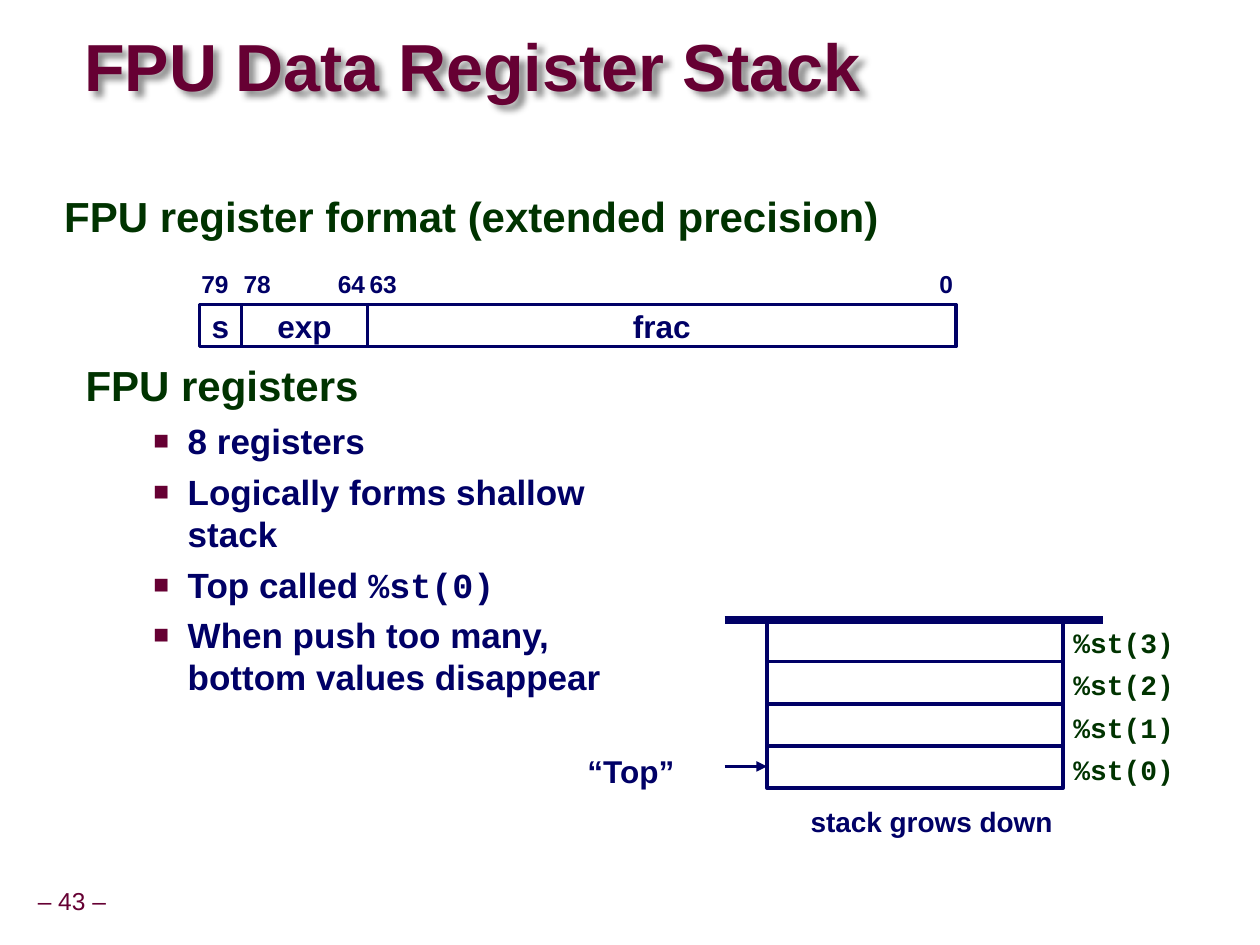
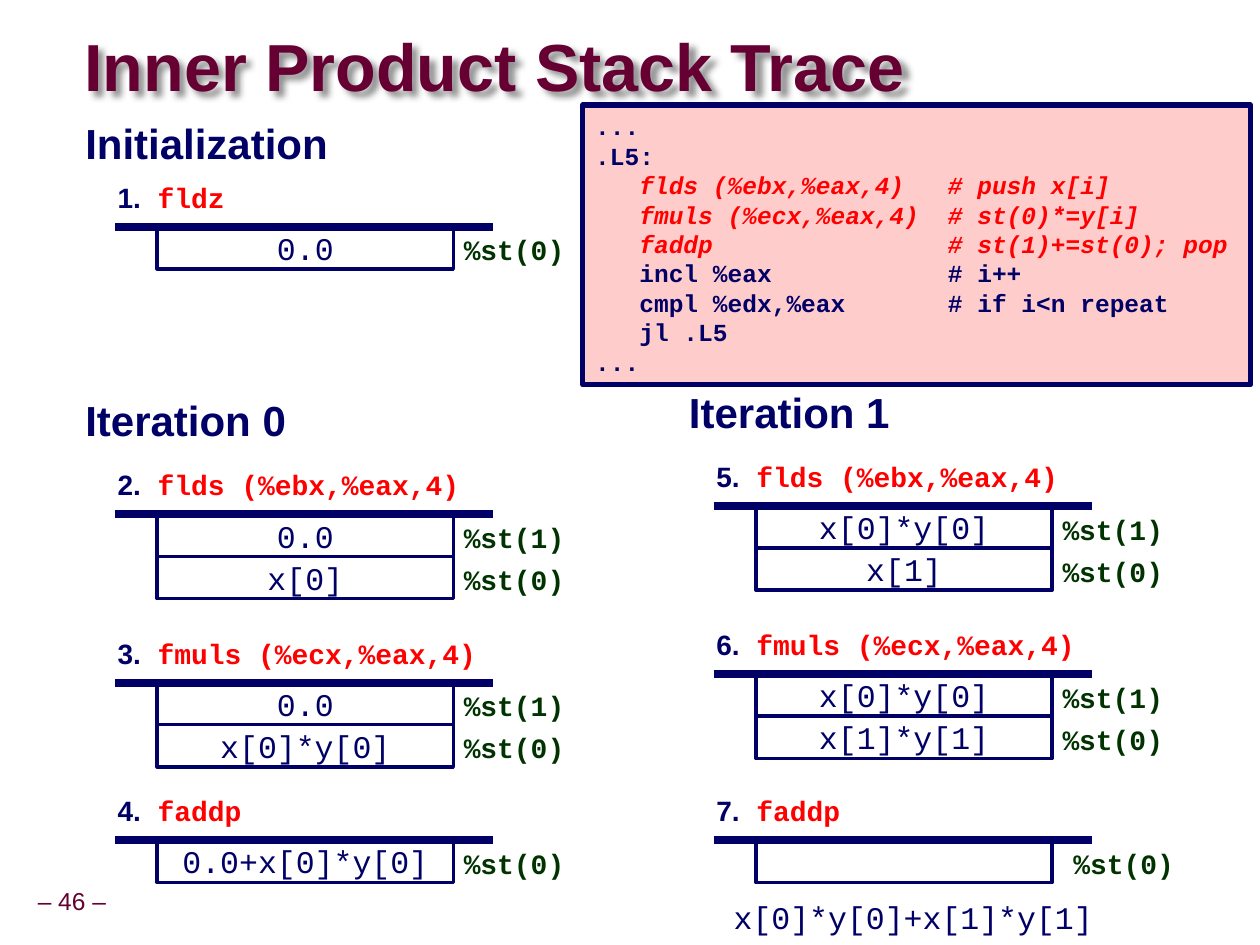
from dataclasses import dataclass, replace

import pptx
import pptx.dml.color
import pptx.enum.shapes
import pptx.enum.text
import pptx.oxml.ns
import pptx.util
from lxml import etree

Cm = pptx.util.Cm
Pt = pptx.util.Pt
ALIGN = pptx.enum.text.PP_ALIGN
ANCHOR = pptx.enum.text.MSO_ANCHOR
NO_AUTOFIT = pptx.enum.text.MSO_AUTO_SIZE.NONE
RECTANGLE = pptx.enum.shapes.MSO_SHAPE.RECTANGLE
STRAIGHT = pptx.enum.shapes.MSO_CONNECTOR.STRAIGHT


@dataclass(frozen=True)
class Style:
    size: float
    color: str
    font: str = "Arial"
    bold: bool = True
    italic: bool = False


@dataclass(frozen=True)
class Theme:
    maroon: str = "660033"
    navy: str = "000066"
    green: str = "003300"
    red: str = "FF0000"
    pink: str = "FFCCCC"
    white: str = "FFFFFF"
    shadow: str = "000000"
    mono: str = "Courier New"
    thin: float = 2
    frame: float = 3
    thick: float = 4.5
    title: Style = Style(38, maroon)
    footer: Style = Style(14, maroon, bold=False)
    topic: Style = Style(24, green)
    phase: Style = Style(24, navy)
    item: Style = Style(20, navy)
    field: Style = Style(18, navy)
    value: Style = Style(18, navy, mono, bold=False)
    caption: Style = Style(16, navy)
    instruction: Style = Style(16, red, mono)
    register: Style = Style(16, green, mono)
    bit: Style = Style(14, navy)
    code: Style = Style(14, navy, mono)


@dataclass(frozen=True)
class Box:
    left: float
    top: float
    width: float
    height: float

    @property
    def lengths(self) -> tuple:
        return Cm(self.left), Cm(self.top), Cm(self.width), Cm(self.height)


@dataclass(frozen=True)
class Stack:
    left: float
    top: float
    values: tuple
    step: str = ""
    instruction: str = ""
    label_shift: float = 0


THEME = Theme()
SLOT_WIDTH, SLOT_HEIGHT, RAIL_WIDTH = 5.97, 0.85, 7.62
LABEL_OFFSET, STEP_RISE = 6.78, 1.06


def rgb(color: str) -> pptx.dml.color.RGBColor:
    return pptx.dml.color.RGBColor.from_string(color)


def add_xml(parent, tag: str, **attributes: str):
    return etree.SubElement(parent, pptx.oxml.ns.qn(tag), attributes)


def add_tabs(paragraph, *positions: float) -> None:
    stops = add_xml(paragraph._p.get_or_add_pPr(), "a:tabLst")
    for position in positions:
        add_xml(stops, "a:tab", pos=str(Cm(position)), algn="l")


def write(paragraph, *pieces: tuple) -> None:
    paragraph.text = pieces[0][0]
    for text, _ in pieces[1:]:
        paragraph.add_run().text = text
    for run, (_, style) in zip(paragraph.runs, pieces):
        run.font.size = Pt(style.size)
        run.font.name = style.font
        run.font.bold = style.bold
        run.font.italic = style.italic
        run.font.color.rgb = rgb(style.color)


def place(placeholder, box: Box) -> None:
    placeholder.left, placeholder.top, placeholder.width, placeholder.height = box.lengths
    placeholder.text_frame.auto_size = NO_AUTOFIT


def add_label(slide, box: Box, *pieces: tuple, wrap: bool = False, align=ALIGN.LEFT):
    frame = slide.shapes.add_textbox(*box.lengths).text_frame
    frame.word_wrap = wrap
    frame.paragraphs[0].alignment = align
    write(frame.paragraphs[0], *pieces)
    return frame.paragraphs[0]


def add_cell(slide, box: Box, text: str, style: Style,
             fill: str = THEME.white, weight: float = THEME.thin):
    cell = slide.shapes.add_shape(RECTANGLE, *box.lengths)
    cell.shadow.inherit = False
    cell.fill.solid()
    cell.fill.fore_color.rgb = rgb(fill)
    cell.line.color.rgb = rgb(THEME.navy)
    cell.line.width = Pt(weight)
    if text:
        cell.text_frame.word_wrap = False
        cell.text_frame.vertical_anchor = ANCHOR.MIDDLE
        cell.text_frame.paragraphs[0].alignment = ALIGN.CENTER
        write(cell.text_frame.paragraphs[0], (text, style))
    return cell


def add_rule(slide, left: float, top: float, width: float, weight: float, arrow: bool = False) -> None:
    rule = slide.shapes.add_connector(STRAIGHT, Cm(left), Cm(top), Cm(left + width), Cm(top))
    rule.line.color.rgb = rgb(THEME.navy)
    rule.line.width = Pt(weight)
    if arrow:
        add_xml(rule.line._get_or_add_ln(), "a:tailEnd", type="triangle")
    add_xml(rule._element.spPr, "a:effectLst")


def add_stack(slide, stack: Stack) -> None:
    for row, value in enumerate(stack.values):
        top = stack.top + row * SLOT_HEIGHT
        add_cell(slide, Box(stack.left + 0.85, top, SLOT_WIDTH, SLOT_HEIGHT), value, THEME.value)
        register = f"%st({len(stack.values) - 1 - row})"
        label_left = stack.left + LABEL_OFFSET + stack.label_shift
        add_label(slide, Box(label_left, top, 2.54, 0.94), (register, THEME.register))
    add_rule(slide, stack.left, stack.top, RAIL_WIDTH, THEME.thick)
    if stack.step:
        step = add_label(slide, Box(stack.left - 0.2, stack.top - STEP_RISE, 8.05, 0.94),
                         (f"{stack.step}\t", THEME.caption), (stack.instruction, THEME.instruction), wrap=True)
        add_tabs(step, 0.81)


def start_slide(deck, layout: int, title: str, number: int):
    slide = deck.slides.add_slide(deck.slide_layouts[layout])
    heading = slide.shapes.title
    place(heading, Box(1.7, 0.62, 19.05, 1.6))
    heading.fill.background()
    shadow = add_xml(add_xml(heading._element.spPr, "a:effectLst"), "a:outerShdw",
                     blurRad="50800", dist="50800", dir="2700000", algn="tl", rotWithShape="0")
    add_xml(add_xml(shadow, "a:srgbClr", val=THEME.shadow), "a:alpha", val="43000")
    frame = heading.text_frame
    frame.margin_left = frame.margin_right = frame.margin_top = frame.margin_bottom = 0
    frame.vertical_anchor = ANCHOR.MIDDLE
    frame.paragraphs[0].alignment = ALIGN.LEFT
    frame.paragraphs[0].line_spacing = 0.87
    write(frame.paragraphs[0], (title, THEME.title))
    add_label(slide, Box(0.2, 17.73, 2.5, 0.86), (f"– {number} –", THEME.footer), align=ALIGN.CENTER)
    return slide


def write_topic(paragraph, text: str) -> None:
    paragraph.line_spacing = 0.95
    paragraph.space_before = Pt(0)
    write(paragraph, (text, THEME.topic))
    properties = paragraph._p.get_or_add_pPr()
    properties.set("marL", str(Cm(1.07)))
    properties.set("indent", str(Cm(-1.07)))
    add_xml(properties, "a:buNone")


def write_item(paragraph, *pieces: tuple) -> None:
    paragraph.level = 1
    paragraph.line_spacing = 1.0
    paragraph.space_before = Pt(5)
    write(paragraph, *pieces)
    properties = paragraph._p.get_or_add_pPr()
    properties.set("marL", str(Cm(2.06)))
    properties.set("indent", str(Cm(-0.69)))
    add_xml(add_xml(properties, "a:buClr"), "a:srgbClr", val=THEME.maroon)
    add_xml(properties, "a:buSzPct", val="75000")
    add_xml(properties, "a:buFont", typeface="Arial")
    add_xml(properties, "a:buChar", char="■")


def build_register_slide(deck) -> None:
    slide = start_slide(deck, 3, "FPU Data Register Stack", 43)
    register_format, registers = list(slide.placeholders)[1:]
    place(register_format, Box(1.04, 3.78, 17.25, 1.42))
    place(registers, Box(1.47, 7.19, 11.43, 9.96))
    write_topic(register_format.text_frame.paragraphs[0], "FPU register format (extended precision)")
    write_topic(registers.text_frame.paragraphs[0], "FPU registers")
    for pieces in (
        [("8 registers", THEME.item)],
        [("Logically forms shallow stack", THEME.item)],
        [("Top called ", THEME.item), ("%st(0)", replace(THEME.item, font=THEME.mono))],
        [("When push too many, bottom values disappear", THEME.item)],
    ):
        write_item(registers.text_frame.add_paragraph(), *pieces)

    for field, left, width in (("s", 4.02, 0.85), ("exp", 4.87, 2.54), ("frac", 7.41, 11.86)):
        add_cell(slide, Box(left, 6.14, width, 0.85), field, THEME.field)
    for bit, left in (("79", 3.81), ("78", 4.66), ("64", 6.56), ("63", 7.2), ("0", 18.69)):
        add_label(slide, Box(left, 5.29, 0.53 + 0.27 * len(bit), 0.86), (bit, THEME.bit))

    add_stack(slide, Stack(14.61, 12.49, ("",) * 4))
    add_label(slide, Box(11.35, 15.04, 2.74, 1.02), ("“Top”", THEME.field), wrap=True, align=ALIGN.CENTER)
    add_rule(slide, 14.61, 15.45, 0.85, THEME.thin, arrow=True)
    add_label(slide, Box(16.09, 16.09, 5.44, 0.94), ("stack grows down", THEME.caption))


def build_trace_slide(deck) -> None:
    slide = start_slide(deck, 5, "Inner Product Stack Trace", 46)
    for phase, box in (
        ("Initialization", Box(1.47, 2.24, 5.46, 1.3)),
        ("Iteration 0", Box(1.47, 7.83, 4.6, 1.3)),
        ("Iteration 1", Box(13.64, 7.67, 4.6, 1.3)),
    ):
        add_label(slide, box, (phase, THEME.phase))

    load, multiply, add = "flds (%ebx,%eax,4)", "fmuls (%ecx,%eax,4)", "faddp"
    left, right = 2.32, 14.39
    for stack in (
        Stack(left, 4.57, ("0.0",), "1.", "fldz"),
        Stack(left, 10.37, ("0.0", "x[0]"), "2.", load),
        Stack(left, 13.76, ("0.0", "x[0]*y[0]"), "3.", multiply),
        Stack(left, 16.94, ("0.0+x[0]*y[0]",), "4.", add),
        Stack(right, 10.2, ("x[0]*y[0]", "x[1]"), "5.", load),
        Stack(right, 13.59, ("x[0]*y[0]", "x[1]*y[1]"), "6.", multiply),
        Stack(right, 16.94, ("",), "7.", add, label_shift=0.22),
    ):
        add_stack(slide, stack)
    add_label(slide, Box(14.5, 17.98, 7.82, 1.02), ("x[0]*y[0]+x[1]*y[1]", THEME.value), align=ALIGN.CENTER)

    listing = add_cell(slide, Box(11.75, 2.12, 13.46, 5.64), "", THEME.code, THEME.pink, THEME.frame)
    frame = listing.text_frame
    frame.word_wrap = True
    frame.vertical_anchor = ANCHOR.TOP
    active = replace(THEME.code, color=THEME.red, italic=True)
    for row, (line, style) in enumerate((
        ("...", THEME.code),
        (".L5:", THEME.code),
        (f"\t{load}\t# push x[i]", active),
        (f"\t{multiply}\t# st(0)*=y[i]", active),
        (f"\t{add}\t# st(1)+=st(0); pop", active),
        ("\tincl %eax\t# i++", THEME.code),
        ("\tcmpl %edx,%eax\t# if i<n repeat", THEME.code),
        ("\tjl .L5", THEME.code),
        ("...", THEME.code),
    )):
        paragraph = frame.add_paragraph() if row else frame.paragraphs[0]
        paragraph.alignment = ALIGN.LEFT
        write(paragraph, (line, style))
        add_tabs(paragraph, 0.89, 7.11)


presentation = pptx.Presentation()
presentation.slide_width = Cm(25.4)
presentation.slide_height = Cm(19.05)
build_register_slide(presentation)
build_trace_slide(presentation)
presentation.save("out.pptx")
